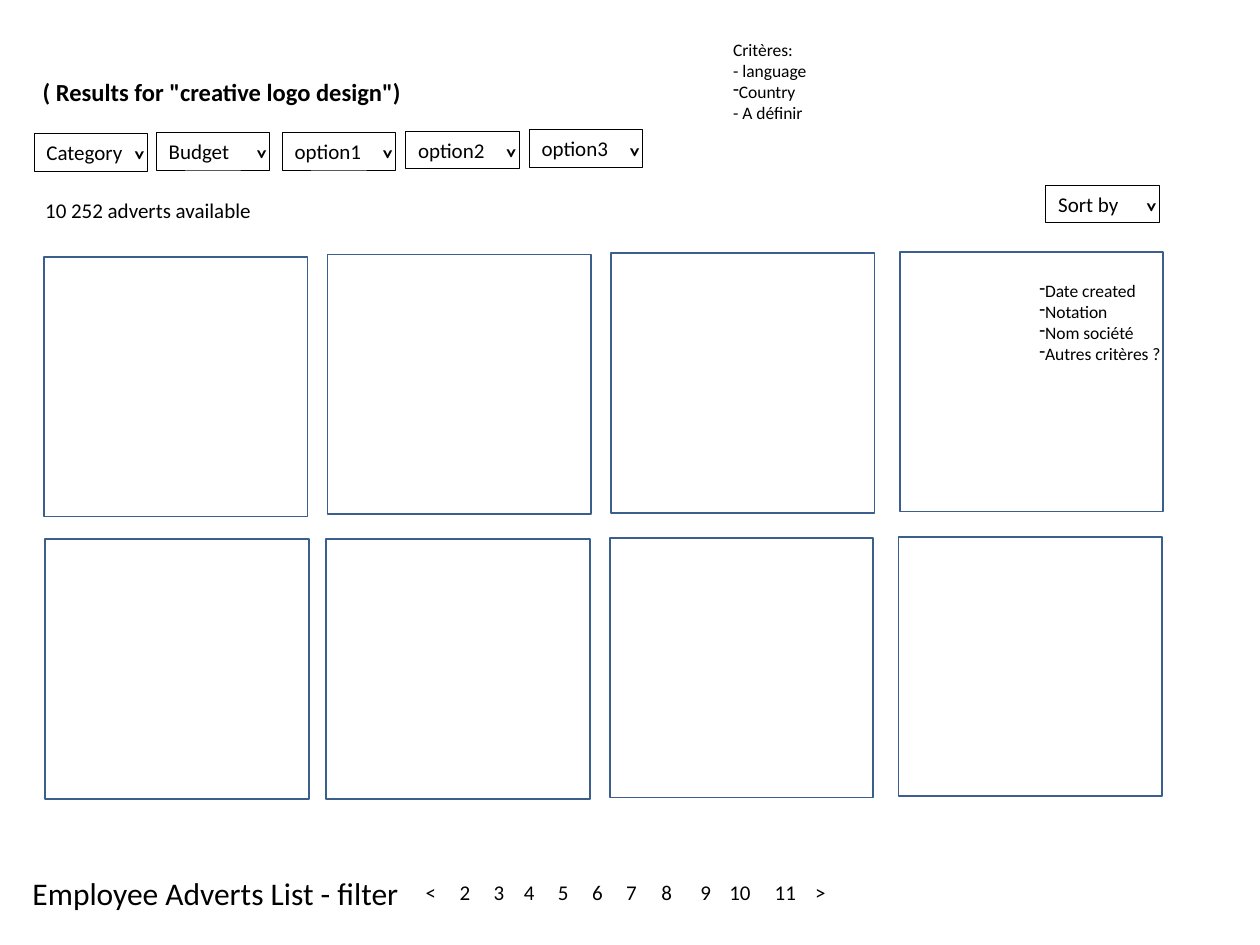
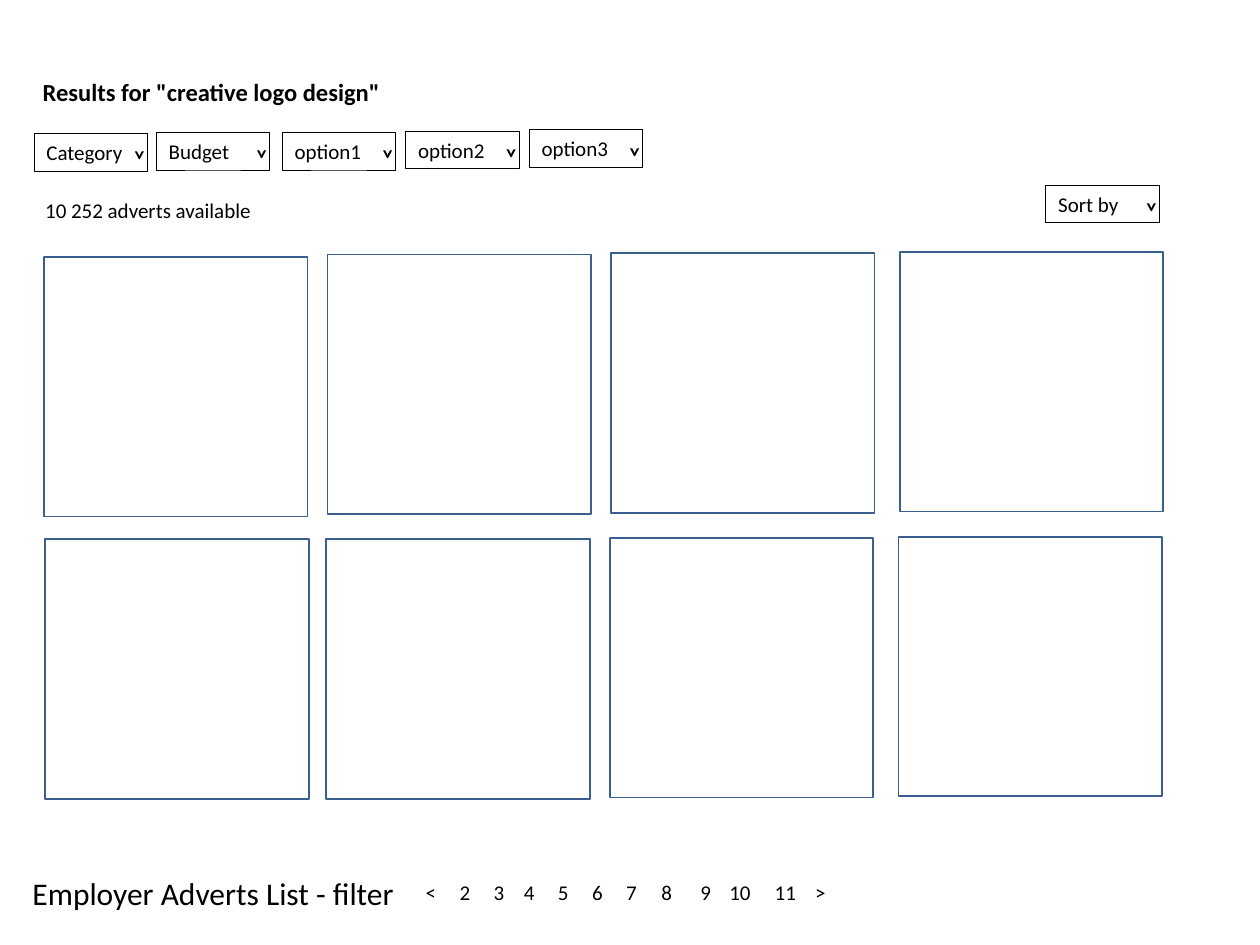
from dataclasses import dataclass

from lxml.etree import SubElement
from pptx import Presentation
from pptx.dml.color import RGBColor
from pptx.enum.shapes import MSO_SHAPE
from pptx.enum.text import MSO_ANCHOR, PP_ALIGN
from pptx.oxml.ns import qn
from pptx.shapes.autoshape import Shape
from pptx.shapes.shapetree import GroupShapes, SlideShapes
from pptx.slide import Slide
from pptx.util import Inches, Pt

COLORS = {"text": "000000", "control": "000000", "card": "3A5F8C"}
FONT = "Calibri"
BULLET = "•"


@dataclass(frozen=True)
class Dropdown:
    label: str
    left: float
    top: float


@dataclass(frozen=True)
class Note:
    lines: tuple[str, ...]
    left: float
    top: float
    width: float


@dataclass(frozen=True)
class ResultsPage:
    name: str
    heading: str
    heading_width: float
    notes: tuple[Note, ...] = ()


DROPDOWNS = (
    Dropdown("Category", 0.27, 1.06),
    Dropdown("Budget", 1.24, 1.05),
    Dropdown("option1", 2.24, 1.05),
    Dropdown("option2", 3.22, 1.04),
    Dropdown("option3", 4.2, 1.03),
    Dropdown("Sort by", 8.3, 1.47),
)
CARD_CORNERS = (
    (0.35, 2.04), (2.6, 2.02), (4.85, 2.01), (7.14, 2.0),
    (0.36, 4.28), (2.59, 4.28), (4.84, 4.27), (7.13, 4.26),
)
PAGER_LABELS = ("<", "2", "3", "4", "5", "6", "7", "8", "9", "10", "11", ">")
PAGER_STOPS = (0.27, 0.54, 0.78, 1.05, 1.32, 1.59, 1.87, 2.18, 2.41, 2.77, 3.09)

PAGES = (
    ResultsPage(
        "Employee Adverts List - filter",
        '( Results for "creative logo design")',
        3.11,
        (
            Note(("Critères:", "- language", BULLET + "Country", "- A définir"),
                 5.72, 0.26, 0.79),
            Note(tuple(BULLET + line for line in
                       ("Date created", "Notation", "Nom société", "Autres critères ?")),
                 8.15, 2.17, 1.18),
        ),
    ),
    ResultsPage(
        "Employer Adverts List - filter",
        'Results for "creative logo design"',
        2.9,
    ),
)


def write_text(box: Shape, *lines: str, size: float = 12, bold: bool = False,
               wrap: bool = False, tab_stops: tuple[float, ...] = ()) -> None:
    frame = box.text_frame
    frame.word_wrap = wrap
    frame.vertical_anchor = MSO_ANCHOR.TOP
    for index, line in enumerate(lines):
        para = frame.add_paragraph() if index else frame.paragraphs[0]
        para.alignment = PP_ALIGN.LEFT
        properties = para._p.get_or_add_pPr()
        if line.startswith(BULLET):
            properties.set("marL", "0")
            properties.set("indent", "0")
            SubElement(properties, qn("a:buFontTx"))
            SubElement(properties, qn("a:buChar"), char="-")
        if tab_stops:
            tabs = SubElement(properties, qn("a:tabLst"))
            for stop in tab_stops:
                SubElement(tabs, qn("a:tab"), pos=str(Inches(stop)), algn="l")
        span = para.add_run()
        span.text = line.removeprefix(BULLET)
        span.font.name = FONT
        span.font.size = Pt(size)
        span.font.bold = bold
        span.font.color.rgb = RGBColor.from_string(COLORS["text"])


def add_text(shapes: SlideShapes | GroupShapes, left: float, top: float, width: float,
             height: float, *lines: str, **text_format) -> Shape:
    box = shapes.add_textbox(Inches(left), Inches(top), Inches(width), Inches(height))
    write_text(box, *lines, **text_format)
    return box


def add_outline(shapes: SlideShapes | GroupShapes, left: float, top: float, width: float,
                height: float, color: str, weight: float) -> Shape:
    box = shapes.add_shape(MSO_SHAPE.RECTANGLE, Inches(left), Inches(top),
                           Inches(width), Inches(height))
    box.shadow.inherit = False
    box.fill.background()
    box.line.color.rgb = RGBColor.from_string(COLORS[color])
    box.line.width = Pt(weight)
    return box


def add_dropdown(page: Slide, dropdown: Dropdown) -> None:
    shapes = page.shapes.add_group_shape().shapes
    box = add_outline(shapes, dropdown.left, dropdown.top, 0.9, 0.3, "control", 0.5)
    write_text(box, dropdown.label, wrap=True)
    arrow = add_text(shapes, dropdown.left + 0.68, dropdown.top + 0.02, 0.29, 0.3,
                     "<", bold=True)
    arrow.rotation = 270


def add_results_page(page: Slide, content: ResultsPage) -> None:
    add_text(page.shapes, 0.16, 6.89, 3.14, 0.4, content.name, size=18)
    for dropdown in DROPDOWNS:
        add_dropdown(page, dropdown)
    add_text(page.shapes, 0.26, 1.52, 1.89, 0.3, "10 252 adverts available")
    for left, top in CARD_CORNERS:
        add_outline(page.shapes, left, top, 2.09, 2.06, "card", 1)
    add_text(page.shapes, 3.28, 6.93, 3.48, 0.3, "\t".join(PAGER_LABELS),
             wrap=True, tab_stops=PAGER_STOPS)
    add_text(page.shapes, 0.24, 0.56, content.heading_width, 0.34, content.heading,
             size=14, bold=True)
    for note in content.notes:
        add_text(page.shapes, note.left, note.top, note.width, 0.77, *note.lines, size=10)


def main() -> None:
    deck = Presentation()
    deck.slide_width = Inches(10)
    deck.slide_height = Inches(7.5)
    for content in PAGES:
        add_results_page(deck.slides.add_slide(deck.slide_layouts[6]), content)
    deck.save("out.pptx")


if __name__ == "__main__":
    main()
